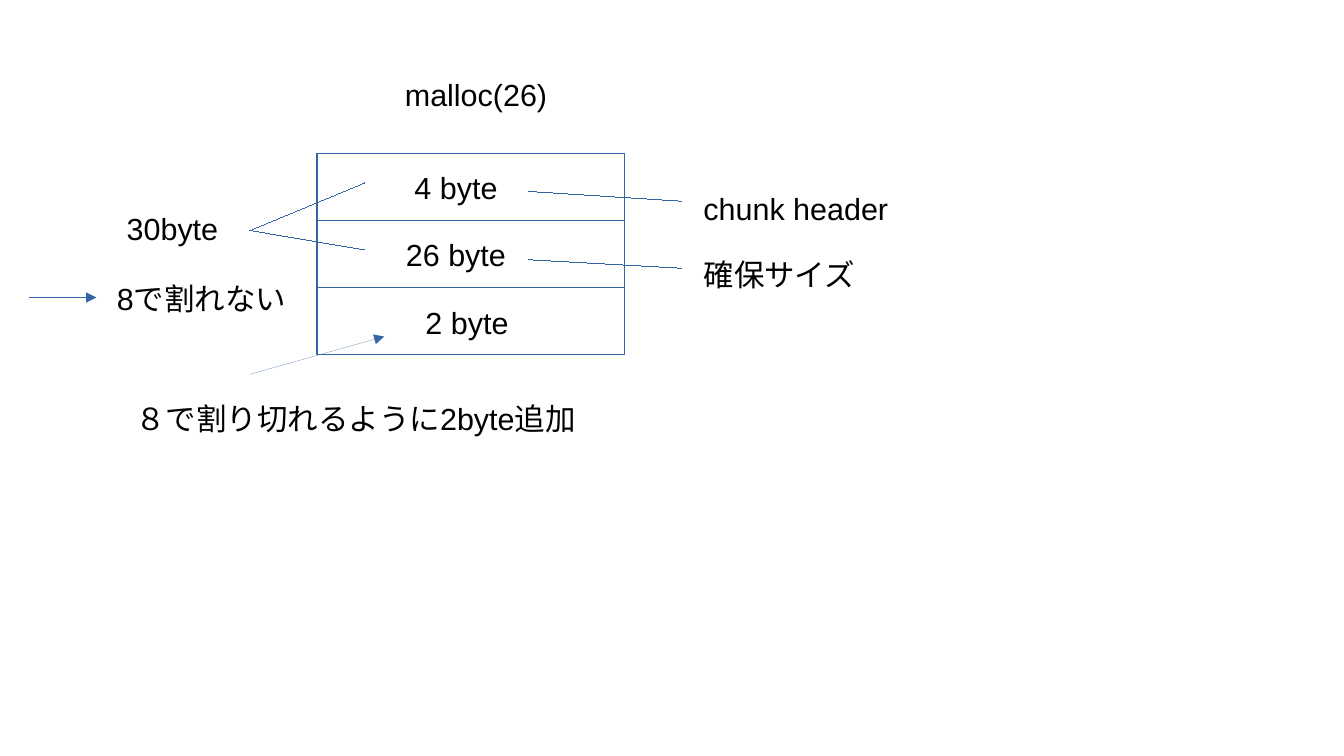
from dataclasses import dataclass

from lxml import etree
from pptx import Presentation
from pptx.dml.color import RGBColor
from pptx.enum.shapes import MSO_CONNECTOR as Connector, MSO_SHAPE as Shape
from pptx.enum.text import MSO_ANCHOR as Anchor, MSO_AUTO_SIZE as AutoSize, PP_ALIGN as Align
from pptx.oxml.ns import qn
from pptx.util import Inches, Pt


@dataclass(frozen=True)
class Theme:
    font: str = "Arial"
    size: int = 18
    text: RGBColor = RGBColor(0, 0, 0)
    line: RGBColor = RGBColor(0x34, 0x65, 0xA4)
    line_width: int = 0


THEME = Theme()

# Content: lengths in inches
TITLE = ("malloc(26)", (3.22, 0.57, 1.5, 0.38))
CHUNK_LEFT, CHUNK_TOP, CHUNK_WIDTH, ROW_HEIGHT = 2.6, 1.26, 2.52, 0.55
LABEL_DROP = 0.08
ROWS = [  # text, label left, label width
    ("4 byte", 3.3, 0.88),
    ("26 byte", 3.23, 1.02),
    ("2 byte", 3.39, 0.88),
]
NOTES = [  # text, place, wraps
    ("30byte", (0.94, 1.67, 0.95, 0.38), False),
    ("8で割れない", (0.86, 2.25, 1.59, 0.46), True),
    ("８で割り切れるように2byte追加", (1.01, 3.23, 3.81, 0.46), True),
    ("chunk header", (5.67, 1.51, 1.9, 0.38), False),
    ("確保サイズ", (5.67, 2.05, 1.45, 0.46), False),
]
LINES = [  # start, end, arrowhead at end
    ((2.99, 1.5), (2.05, 1.89), False),
    ((2.99, 2.05), (2.05, 1.89), False),
    ((5.59, 1.65), (4.33, 1.57), False),
    ((5.59, 2.2), (4.33, 2.13), False),
    ((0.24, 2.44), (0.79, 2.44), True),
    ((2.05, 3.07), (3.15, 2.76), True),
]


def inches(values):
    return [Inches(value) for value in values]


def style_line(line):
    line.color.rgb = THEME.line
    line.width = Pt(THEME.line_width)


def write(box, text, wraps=False):
    frame = box.text_frame
    frame.text = text
    frame.word_wrap = wraps
    frame.auto_size = AutoSize.SHAPE_TO_FIT_TEXT
    frame.vertical_anchor = Anchor.TOP
    frame.margin_left = frame.margin_right = Inches(0.1)
    frame.margin_top = frame.margin_bottom = Inches(0.05)
    para = frame.paragraphs[0]
    para.alignment = Align.LEFT
    for span in para.runs:
        span.font.name = THEME.font
        span.font.size = Pt(THEME.size)
        span.font.color.rgb = THEME.text


def add_text(page, text, place, wraps=False):
    write(page.shapes.add_textbox(*inches(place)), text, wraps)


def add_line(page, start, end, arrow):
    connector = page.shapes.add_connector(Connector.STRAIGHT, *inches(start + end))
    style_line(connector.line)
    if arrow:
        etree.SubElement(connector.line._get_or_add_ln(), qn("a:tailEnd"), type="triangle")
    element = connector._element
    etree.SubElement(element.spPr, qn("a:effectLst"))
    # The theme style would override a hairline width
    element.remove(element.find(qn("p:style")))


def main():
    deck = Presentation()
    deck.slide_width, deck.slide_height = Inches(11.02), Inches(6.2)
    page = deck.slides.add_slide(deck.slide_layouts[5])

    # Title
    title = page.shapes.title
    text, place = TITLE
    title.left, title.top, title.width, title.height = inches(place)
    write(title, text)

    # Memory chunk
    for index, (text, left, width) in enumerate(ROWS):
        top = CHUNK_TOP + index * ROW_HEIGHT
        cell = page.shapes.add_shape(
            Shape.RECTANGLE, *inches((CHUNK_LEFT, top, CHUNK_WIDTH, ROW_HEIGHT)))
        cell.shadow.inherit = False
        cell.fill.background()
        style_line(cell.line)
        add_text(page, text, (left, top + LABEL_DROP, width, 0.38))

    # Pointers and notes
    for start, end, arrow in LINES:
        add_line(page, start, end, arrow)
    for text, place, wraps in NOTES:
        add_text(page, text, place, wraps)

    deck.save("out.pptx")


if __name__ == "__main__":
    main()
